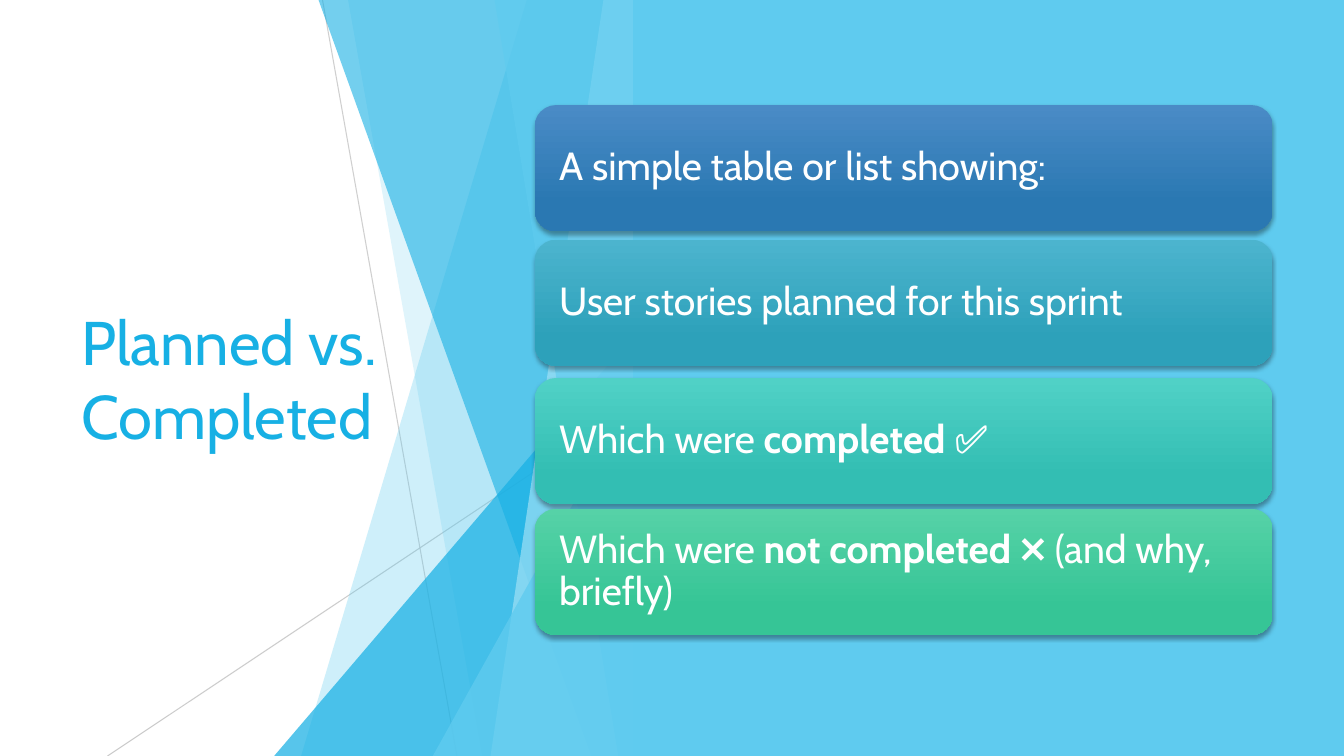
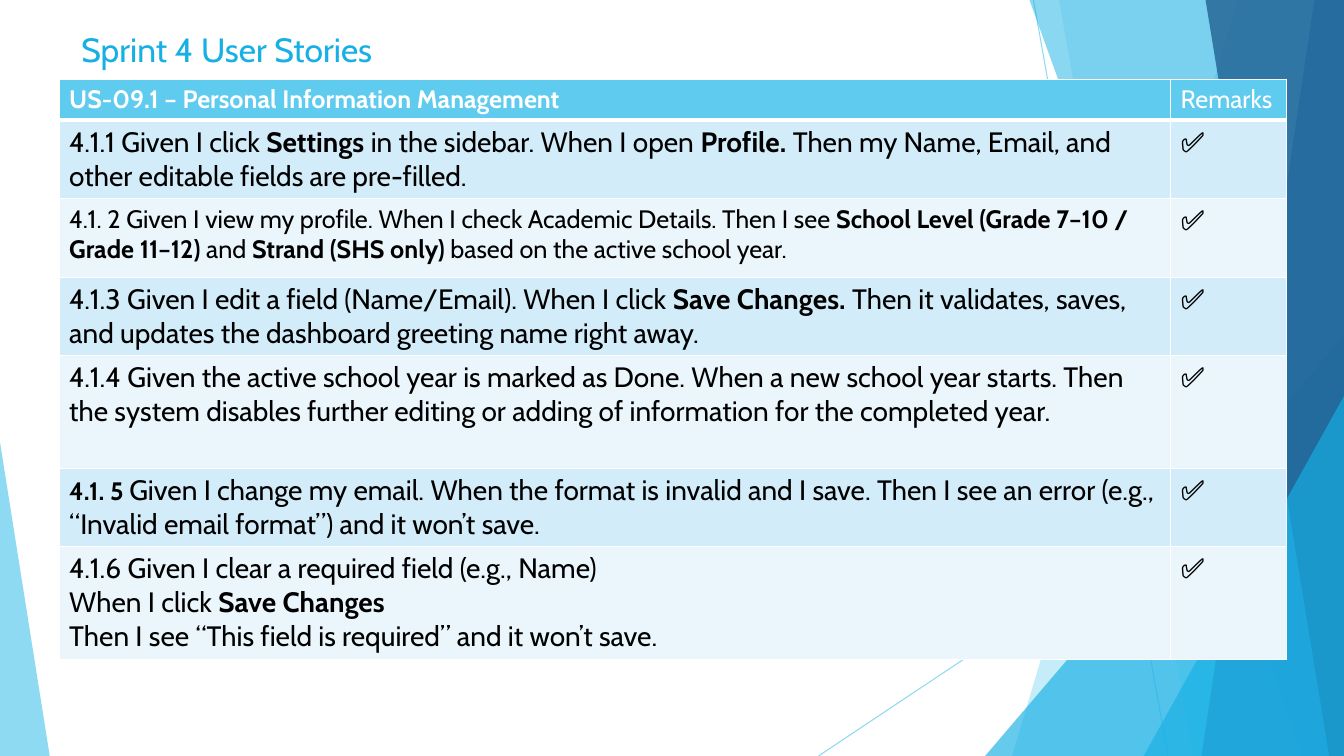
from lxml import etree
from pptx import Presentation
from pptx.dml.color import RGBColor
from pptx.enum import shapes, text
from pptx.oxml import ns
from pptx.util import Inches, Pt

W, H = Inches(13.333), Inches(7.5)
FONT = "Cabin"
WHITE = RGBColor(0xFF, 0xFF, 0xFF)
BLACK = RGBColor(0, 0, 0)
GREY = RGBColor(0xBF, 0xBF, 0xBF)
SKY = RGBColor(0x5F, 0xCB, 0xEF)
PALE = RGBColor(0x9F, 0xE0, 0xF5)
BLUE = RGBColor(0x17, 0xB0, 0xE4)
STEEL = RGBColor(0x2E, 0x83, 0xC3)
NAVY = RGBColor(0x22, 0x62, 0x92)
BANDS = RGBColor(0xD2, 0xEC, 0xF9), RGBColor(0xEA, 0xF6, 0xFC)
FADES = [
    (RGBColor(0x4A, 0x8B, 0xC6), RGBColor(0x2A, 0x78, 0xB2)),
    (RGBColor(0x4C, 0xB4, 0xCE), RGBColor(0x2D, 0xA1, 0xBA)),
    (RGBColor(0x50, 0xD1, 0xC6), RGBColor(0x33, 0xBE, 0xB3)),
    (RGBColor(0x56, 0xD2, 0xA7), RGBColor(0x36, 0xC5, 0x96)),
]
LEFT_ART = [(SKY, 30), (SKY, 20), (BLUE, 72), (BLUE, 60),
            (PALE, 70), (SKY, 65), (SKY, 80)]
RIGHT_ART = [(SKY, 36), (SKY, 20), (BLUE, 66), (BLUE, 50),
             (STEEL, 70), (NAVY, 80), (BLUE, 66)]
TICK = "✅"


def across(share):
    return round(W * share / 100)


def down(share):
    return round(H * share / 100)


def box(left, top, width, height):
    return across(left), down(top), across(width), down(height)


def child(parent, tag, **attrs):
    return etree.SubElement(parent, ns.qn(tag), **attrs)


def reg(words, size=20):
    return words, size, False


def bold(words, size=20):
    return words, size, True


def write(para, runs, color):
    for words, size, heavy in runs:
        run = para.add_run()
        run.text = words
        run.font.name = FONT
        run.font.size = Pt(size)
        run.font.bold = heavy
        run.font.color.rgb = color


def fade(shape, alpha):
    for color in shape._element.iter(ns.qn("a:srgbClr")):
        child(color, "a:alpha", val=str(alpha * 1000))


def paint(shape, color, alpha=100):
    shape.shadow.inherit = False
    shape.fill.solid()
    shape.fill.fore_color.rgb = color
    shape.line.fill.background()
    if alpha < 100:
        fade(shape, alpha)


def ray(slide, start, end, color, alpha):
    line = slide.shapes.add_connector(
        shapes.MSO_CONNECTOR.STRAIGHT,
        across(start[0]), down(start[1]), across(end[0]), down(end[1]))
    line.line.color.rgb = color
    line.line.width = Pt(0.75)
    fade(line, alpha)
    child(line._element.spPr, "a:effectLst")


def slab(slide, edge, top, base):
    form = slide.shapes.build_freeform(across(edge - top), 0)
    form.add_line_segments([(across(edge), 0), (across(edge), H),
                            (across(edge - base), H)])
    return form.convert_to_shape()


def wedge(slide, left, top, width, lean):
    shape = slide.shapes.add_shape(
        shapes.MSO_SHAPE.ISOSCELES_TRIANGLE,
        *box(left, top, width, 100 - top))
    shape.adjustments[0] = lean
    return shape


def peak(slide, edge, width, top):
    return wedge(slide, edge - width, top, width, 1)


FACETS = [(slab, 7.9, 24.7), (slab, 21.2, 11.2), (peak, 26.7, 44.4),
          (slab, 23.4, 3.1), (slab, 2.2, 10.6), (slab, 10.3, 1.1),
          (peak, 14.9, 52.4)]


def draw_art(slide, edge, tints, color, alphas):
    ray(slide, (edge - 23.1, 0), (edge - 13.1, 100), color, alphas[0])
    ray(slide, (edge, 53.7), (edge - 39.1, 100), color, alphas[1])
    for (make, first, second), tint in zip(FACETS, tints):
        paint(make(slide, edge, first, second), *tint)


def add_page(deck, words, size, place):
    slide = deck.slides.add_slide(deck.slide_layouts[5])
    title = slide.shapes.title
    title.left, title.top, title.width, title.height = box(*place)
    frame = title.text_frame
    frame.auto_size = text.MSO_AUTO_SIZE.NONE
    frame.word_wrap = True
    frame.vertical_anchor = text.MSO_ANCHOR.MIDDLE
    para = frame.paragraphs[0]
    para.alignment = text.PP_ALIGN.LEFT
    write(para, [reg(words, size)], BLUE)
    return slide


def add_card(slide, top, stops, runs):
    card = slide.shapes.add_shape(shapes.MSO_SHAPE.ROUNDED_RECTANGLE,
                                  *box(39.8, top, 54.9, 16.7))
    card.line.fill.background()
    card.fill.gradient()
    card.fill.gradient_angle = 270
    for stop, color, spot in zip(card.fill.gradient_stops, stops, (0, 0.78)):
        stop.color.rgb = color
        stop.position = spot
    card.shadow.inherit = False
    glow = child(card._element.spPr.find(ns.qn("a:effectLst")),
                 "a:outerShdw", blurRad=str(Pt(3)), dist=str(Pt(2)),
                 dir="5400000", rotWithShape="0")
    child(child(glow, "a:srgbClr", val="000000"), "a:alpha", val="35000")
    frame = card.text_frame
    frame.word_wrap = True
    frame.vertical_anchor = text.MSO_ANCHOR.MIDDLE
    frame.margin_left = frame.margin_right = Inches(0.18)
    para = frame.paragraphs[0]
    para.alignment = text.PP_ALIGN.LEFT
    para.line_spacing = 0.9
    write(para, runs, WHITE)


def edge_cell(cell, row):
    props = cell._tc.get_or_add_tcPr()
    wide = {"T": row == 1, "B": row == 0}
    for spot, side in enumerate("LRTB"):
        line = etree.Element(ns.qn("a:ln" + side),
                             w=str(Pt(3 if wide.get(side) else 1)))
        child(child(line, "a:solidFill"), "a:srgbClr", val=str(WHITE))
        props.insert(spot, line)


def fill_cell(cell, row, paras):
    cell.fill.solid()
    cell.fill.fore_color.rgb = BANDS[(row - 1) % 2] if row else SKY
    edge_cell(cell, row)
    frame = cell.text_frame
    for spot, runs in enumerate(paras):
        para = frame.add_paragraph() if spot else frame.paragraphs[0]
        write(para, runs, BLACK if row else WHITE)


def add_grid(slide, left, top, cols, rows, cells):
    grid = slide.shapes.add_table(
        len(rows), len(cols), *box(left, top, sum(cols), sum(rows))).table
    grid.horz_banding = False
    for col, share in zip(grid.columns, cols):
        col.width = across(share)
    for row, share in enumerate(rows):
        grid.rows[row].height = down(share)
        for col, paras in enumerate(cells[row]):
            fill_cell(grid.cell(row, col), row, paras)


def plan_page(deck):
    slide = add_page(deck, "Planned vs. Completed", 44,
                     (5.3, 20.1, 29.1, 59.7))
    edge = 47.1
    draw_art(slide, edge, LEFT_ART, GREY, (75, 80))
    panel = slide.shapes.add_shape(shapes.MSO_SHAPE.RECTANGLE,
                                   *box(edge, 0, 100 - edge, 100))
    paint(panel, SKY)
    cards = [
        [reg("A simple table or list showing:", 28)],
        [reg("User stories planned for this sprint", 28)],
        [reg("Which were ", 28), bold("completed", 28), reg(" ✅", 28)],
        [reg("Which were ", 28), bold("not completed", 28),
         reg(" ❌ (and why, briefly)", 28)],
    ]
    for top, stops, runs in zip((13.9, 31.7, 50, 67.3), FADES, cards):
        add_card(slide, top, stops, runs)


def story_page(deck):
    slide = add_page(deck, "Sprint 4 User Stories", 24,
                     (5.3, 4.5, 74.9, 3.9))
    draw_art(slide, 100, RIGHT_ART, SKY, (70, 70))
    paint(wedge(slide, 0, 58.5, 3.7, 0), SKY, 70)
    tales = [
        [[reg("4.1.1 Given I click "), bold("Settings"),
          reg(" in the sidebar. When I open "), bold("Profile. "),
          reg("Then my Name, Email, and other editable fields are "
              "pre-filled.")]],
        [[reg("4.1. 2 Given I view my profile. When I check Academic "
              "Details. Then I see ", 18),
          bold("School Level (Grade 7–10 / Grade 11–12)", 18),
          reg(" and ", 18), bold("Strand (SHS only)", 18),
          reg(" based on the active school year.", 18)]],
        [[reg("4.1.3 Given I edit a field (Name/Email). When I click "),
          bold("Save Changes. "),
          reg("Then it validates, saves, and updates the dashboard "
              "greeting name right away.")]],
        [[reg("4.1.4 Given the active school year is marked as Done. When "
              "a new school year starts. Then the system disables further "
              "editing or adding of information for the completed year.")]],
        [[bold("4.1. 5 ", 18),
          reg("Given I change my email. When the format is invalid and I "
              "save. Then I see an error (e.g., “Invalid email format”) "
              "and it won’t save.")]],
        [[reg("4.1.6 Given I clear a required field (e.g., Name)")],
         [reg("When I click "), bold("Save Changes")],
         [reg("Then I see “This field is required” and it won’t save.")]],
    ]
    head = ([[bold("US-09.1 – Personal Information Management", 18)]],
            [[reg("Remarks", 18)]])
    cells = [head] + [(tale, [[reg(TICK)]]) for tale in tales]
    add_grid(slide, 4.4, 10.5, (82.7, 8.6),
             (5.4, 10.2, 10.4, 10.3, 14.9, 10.3, 14.8), cells)


def main():
    deck = Presentation()
    deck.slide_width, deck.slide_height = W, H
    plan_page(deck)
    story_page(deck)
    deck.save("out.pptx")


if __name__ == "__main__":
    main()
